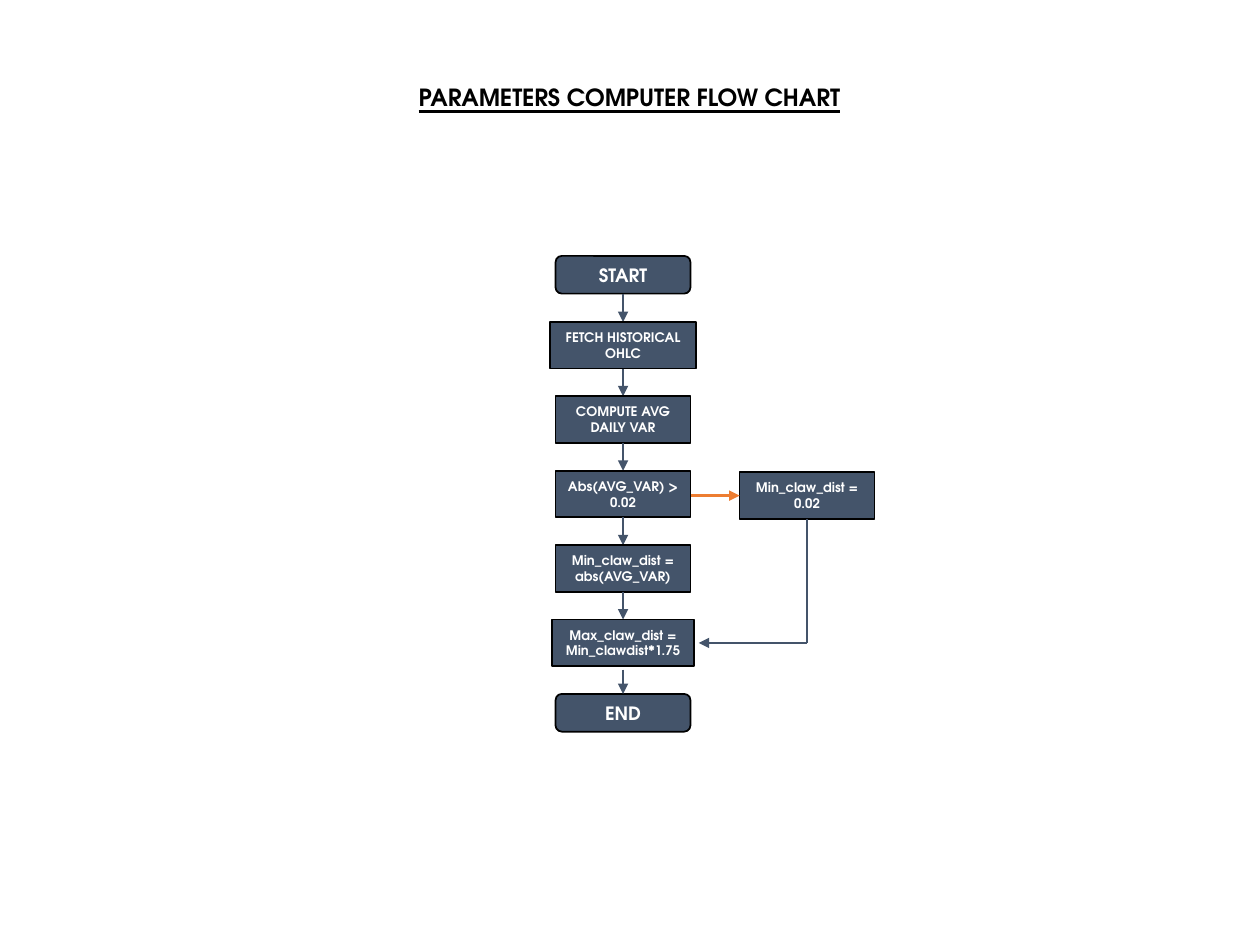
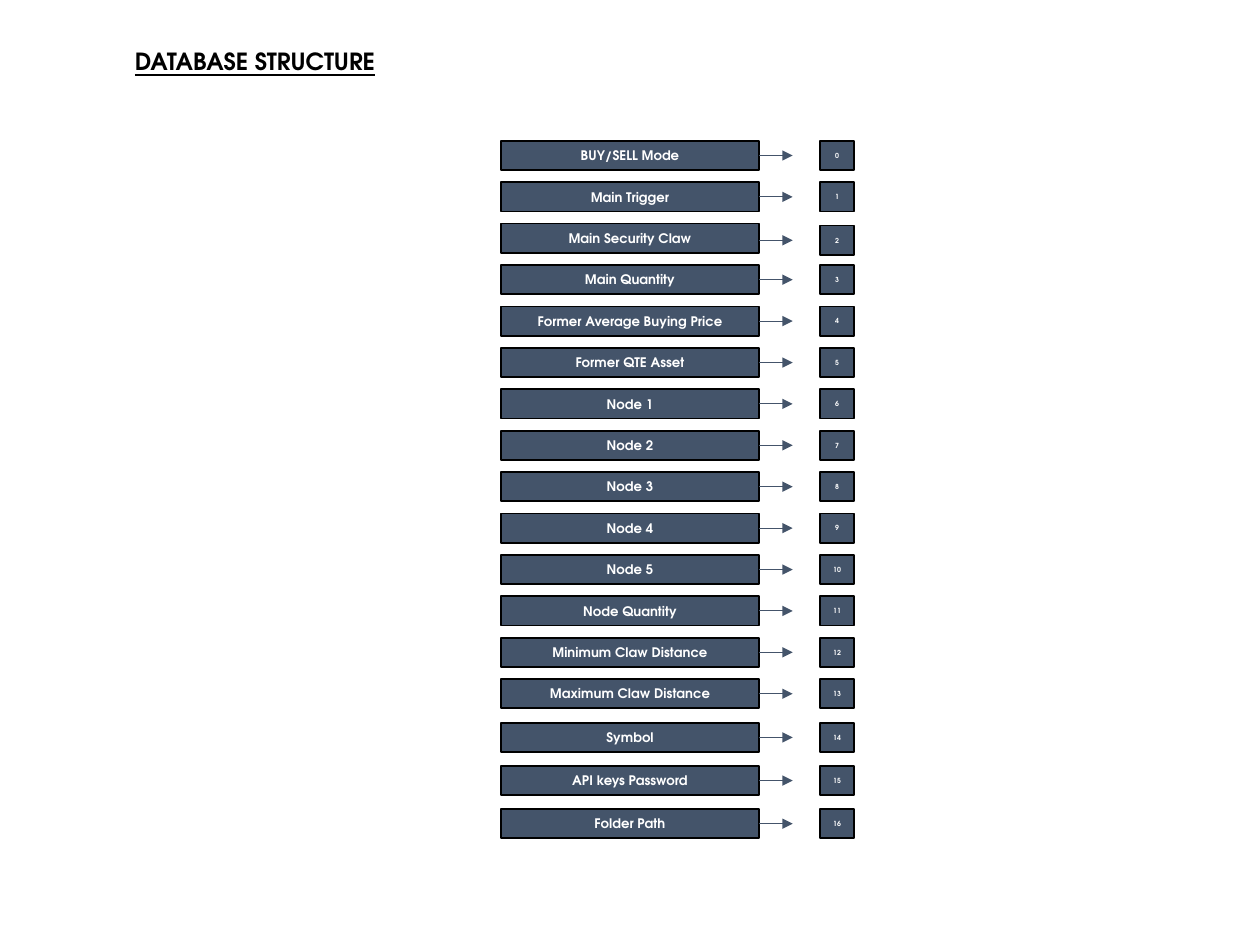
from lxml.etree import SubElement
from pptx import Presentation
from pptx.dml.color import RGBColor
from pptx.enum.shapes import MSO_CONNECTOR, MSO_SHAPE
from pptx.enum.text import MSO_ANCHOR, MSO_AUTO_SIZE, PP_ALIGN
from pptx.oxml.ns import qn
from pptx.util import Cm, Pt

SLATE = RGBColor(0x44, 0x54, 0x6A)
ORANGE = RGBColor(0xED, 0x7D, 0x31)
BLACK = RGBColor(0, 0, 0)
WHITE = RGBColor(0xFF, 0xFF, 0xFF)
FONT = "TeX Gyre Adventor"

# Flow chart content, lengths in cm: text, width
FLOW_TITLE = "PARAMETERS COMPUTER FLOW CHART"
START, END = "START", "END"
STEPS = [
    ("FETCH HISTORICAL OHLC", 2.95),
    ("COMPUTE AVG DAILY VAR", 2.72),
    ("Abs(AVG_VAR) > 0.02", 2.72),
    ("Min_claw_dist = abs(AVG_VAR)", 2.72),
    ("Max_claw_dist = Min_clawdist*1.75", 2.85),
]
BRANCH = "Min_claw_dist = 0.02"
FLOW_CENTRE = 12.56
START_TOP, FIRST_STEP_TOP, STEP_PITCH = 5.16, 6.49, 1.5
TERMINAL_HEIGHT, STEP_HEIGHT, STEP_WIDTH = 0.76, 0.94, 2.72
BRANCH_LEFT, BRANCH_TOP = 14.91, 9.52
RETURN_GAP, END_GAP = 0.1, 0.07

# Database content: top of first field, top of last field, fields
DATABASE_TITLE = "DATABASE STRUCTURE"
FIELD_GROUPS = [
    (2.84, 13.69, [
        "BUY/SELL Mode", "Main Trigger", "Main Security Claw", "Main Quantity",
        "Former Average Buying Price", "Former QTE Asset",
        "Node 1", "Node 2", "Node 3", "Node 4", "Node 5", "Node Quantity",
        "Minimum Claw Distance", "Maximum Claw Distance",
    ]),
    (14.57, 16.31, ["Symbol", "API keys Password", "Folder Path"]),
]
INDEX_SHIFT = {2: 0.04}
FIELD_LEFT, FIELD_WIDTH, FIELD_HEIGHT = 10.1, 5.2, 0.59
ARROW_LENGTH, INDEX_LEFT, INDEX_WIDTH = 0.68, 16.53, 0.69


def write(shape, text, size, color):
    """Put one centred bold paragraph into a shape."""
    shape.text_frame.text = text
    para = shape.text_frame.paragraphs[0]
    para.alignment = PP_ALIGN.CENTER
    font = para.font
    font.name, font.size, font.bold = FONT, Pt(size), True
    font.color.rgb = color
    return para


def add_page(deck, title, left, top):
    """Add a slide with an underlined title."""
    page = deck.slides.add_slide(deck.slide_layouts[5])
    box = page.shapes.title
    box.left, box.top, box.width, box.height = Cm(left), Cm(top), Cm(9.88), Cm(0.84)
    para = write(box, title, 13.5, BLACK)
    para.font.underline = True
    box.text_frame.vertical_anchor = MSO_ANCHOR.TOP
    box.text_frame.auto_size = MSO_AUTO_SIZE.SHAPE_TO_FIT_TEXT
    return page


def add_box(page, text, left, top, width, height, size=7.5, kind=MSO_SHAPE.RECTANGLE):
    """Add a slate box with a black outline and white text."""
    box = page.shapes.add_shape(kind, Cm(left), Cm(top), Cm(width), Cm(height))
    box.shadow.inherit = False
    box.fill.solid()
    box.fill.fore_color.rgb = SLATE
    box.line.color.rgb = BLACK
    box.line.width = Pt(1)
    box.text_frame.word_wrap = True
    box.text_frame.vertical_anchor = MSO_ANCHOR.MIDDLE
    write(box, text, size, WHITE)


def add_line(page, x1, y1, x2, y2, color=SLATE, width=1.5, arrow=True):
    """Add a straight line, with an arrowhead at its end if asked."""
    line = page.shapes.add_connector(
        MSO_CONNECTOR.STRAIGHT, Cm(x1), Cm(y1), Cm(x2), Cm(y2))
    line.line.color.rgb = color
    line.line.width = Pt(width)
    if arrow:
        SubElement(line.line._get_or_add_ln(), qn("a:tailEnd"), type="triangle")
    SubElement(line._element.spPr, qn("a:effectLst"))


def build_flow_chart(deck):
    """Draw the column of steps, its arrows and the side branch."""
    page = add_page(deck, FLOW_TITLE, 7.75, 1.55)
    end_top = FIRST_STEP_TOP + len(STEPS) * STEP_PITCH
    for text, top in ((START, START_TOP), (END, end_top)):
        add_box(page, text, FLOW_CENTRE - STEP_WIDTH / 2, top, STEP_WIDTH,
                TERMINAL_HEIGHT, 10.5, MSO_SHAPE.ROUNDED_RECTANGLE)
    add_line(page, FLOW_CENTRE, START_TOP + TERMINAL_HEIGHT, FLOW_CENTRE, FIRST_STEP_TOP)

    for number, (text, width) in enumerate(STEPS):
        top = FIRST_STEP_TOP + number * STEP_PITCH
        add_box(page, text, FLOW_CENTRE - width / 2, top, width, STEP_HEIGHT)
        gap = END_GAP if number == len(STEPS) - 1 else 0
        add_line(page, FLOW_CENTRE, top + STEP_HEIGHT + gap, FLOW_CENTRE, top + STEP_PITCH)

    add_box(page, BRANCH, BRANCH_LEFT, BRANCH_TOP, STEP_WIDTH, STEP_HEIGHT)
    branch_middle = BRANCH_TOP + STEP_HEIGHT / 2
    branch_centre = BRANCH_LEFT + STEP_WIDTH / 2
    return_y = end_top - STEP_PITCH + STEP_HEIGHT / 2
    return_x = FLOW_CENTRE + STEPS[-1][1] / 2 + RETURN_GAP
    add_line(page, FLOW_CENTRE + STEP_WIDTH / 2, branch_middle,
             BRANCH_LEFT, branch_middle, ORANGE)
    add_line(page, branch_centre, BRANCH_TOP + STEP_HEIGHT,
             branch_centre, return_y, arrow=False)
    add_line(page, branch_centre, return_y, return_x, return_y)


def build_database(deck):
    """Draw each field with an arrow to its index."""
    page = add_page(deck, DATABASE_TITLE, 0.2, 0.81)
    index = 0
    for first, last, fields in FIELD_GROUPS:
        pitch = (last - first) / (len(fields) - 1)
        for row, field in enumerate(fields):
            top = first + row * pitch
            index_top = top + INDEX_SHIFT.get(index, 0)
            middle = index_top + FIELD_HEIGHT / 2
            right = FIELD_LEFT + FIELD_WIDTH
            add_box(page, field, FIELD_LEFT, top, FIELD_WIDTH, FIELD_HEIGHT)
            add_line(page, right, middle, right + ARROW_LENGTH, middle, width=0.5)
            add_box(page, str(index), INDEX_LEFT, index_top, INDEX_WIDTH, FIELD_HEIGHT, 4)
            index += 1


deck = Presentation()
deck.slide_width, deck.slide_height = Cm(25.4), Cm(19.05)
build_flow_chart(deck)
build_database(deck)
deck.save("out.pptx")
